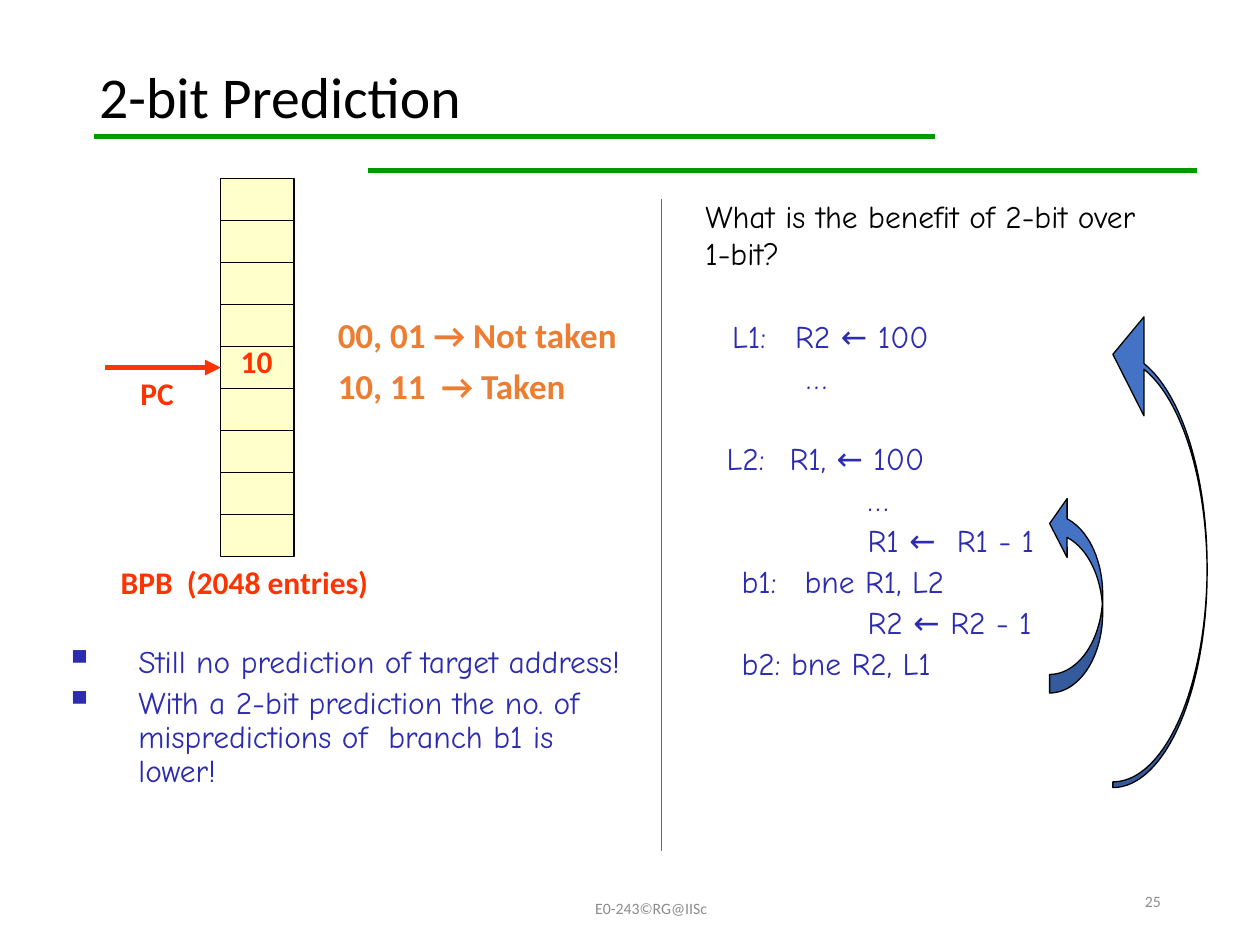
from lxml import etree
from pptx import Presentation
from pptx.dml.color import RGBColor
from pptx.enum.shapes import MSO_CONNECTOR, MSO_SHAPE
from pptx.enum.text import MSO_ANCHOR, PP_ALIGN
from pptx.oxml.ns import qn
from pptx.util import Cm, Pt

STRAIGHT = MSO_CONNECTOR.STRAIGHT
RECTANGLE = MSO_SHAPE.RECTANGLE
CURVED_ARROW = MSO_SHAPE.CURVED_UP_ARROW
LEFT, CENTER, RIGHT = PP_ALIGN.LEFT, PP_ALIGN.CENTER, PP_ALIGN.RIGHT
TOP, MIDDLE = MSO_ANCHOR.TOP, MSO_ANCHOR.MIDDLE

BLACK, GRAY, GREEN, RED = "000000", "8C8C8C", "009900", "FF3300"
INDIGO, ORANGE, YELLOW, BLUE = "2C2CB0", "ED7D31", "FFFFCC", "4472C4"
SANS, HAND = "Calibri", "Comic Neue"

presentation = Presentation()
presentation.slide_width, presentation.slide_height = Cm(25.4), Cm(19.05)
slide = presentation.slides.add_slide(presentation.slide_layouts[6])


def add_text(text, left, top, width, height, size=18, font=SANS, color=RED,
             bold=False, align=LEFT, anchor=TOP, spacing=1.0, before=0):
    """Add a wrapped text box, one paragraph per line, and return its paragraphs."""
    box = slide.shapes.add_textbox(Cm(left), Cm(top), Cm(width), Cm(height))
    frame = box.text_frame
    frame.word_wrap = True
    frame.vertical_anchor = anchor
    frame.text = text
    for index, paragraph in enumerate(frame.paragraphs):
        paragraph.alignment = align
        paragraph.line_spacing = spacing
        paragraph.space_before = Pt(before if index else 0)
        for run in paragraph.runs:
            run.font.name, run.font.size, run.font.bold = font, Pt(size), bold
            run.font.color.rgb = RGBColor.from_string(color)
    return frame.paragraphs


def add_line(x1, y1, x2, y2, color=BLACK, width=0.75):
    line = slide.shapes.add_connector(STRAIGHT, Cm(x1), Cm(y1), Cm(x2), Cm(y2))
    line.line.color.rgb = RGBColor.from_string(color)
    line.line.width = Pt(width)
    etree.SubElement(line._element.spPr, qn("a:effectLst"))
    return line


# Title, footer and green rules
for x1, x2, y in [(1.9, 18.63, 2.75), (7.41, 24.13, 3.43), (2.12, 18.84, 2.75)]:
    add_line(x1, y, x2, y, GREEN, 3)
add_text("2-bit Prediction", 1.75, 1.02, 21.9, 1.98, size=33, color=BLACK,
         anchor=MIDDLE, spacing=0.9)
add_text("E0-243©RG@IISc", 9.1, 17.98, 8.05, 0.64, size=9, color=GRAY,
         align=CENTER, anchor=MIDDLE)
add_text("25", 17.93, 17.65, 5.72, 1.02, size=9, color=GRAY,
         align=RIGHT, anchor=MIDDLE)

# Remarks with square bullets
remarks = add_text(
    "Still no prediction of target address!\n"
    "With a 2-bit prediction the no. of mispredictions of  branch b1 is lower!",
    1.06, 12.9, 12.07, 5.28, font=HAND, color=INDIGO, spacing=0.9, before=4)
for paragraph in remarks:
    properties = paragraph._p.get_or_add_pPr()
    properties.set("marL", str(Cm(1.48)))
    properties.set("indent", str(Cm(-1.48)))
    etree.SubElement(properties, qn("a:buSzPct"), val="125000")
    etree.SubElement(properties, qn("a:buChar"), char="▪")

# Loop code: each line with its indent; a tab separates label and instruction
LABEL_TAB = 2.24
code = [
    ("L1:\tR2 ← 100", 0.95),
    ("…", 2.44),
    ("L2:\tR1, ← 100", 0.84),
    ("…", 3.68),
    ("R1 ←  R1 - 1", 3.68),
    ("b1:\tbne R1, L2", 1.14),
    ("R2 ← R2 - 1", 3.68),
    ("b2: bne R2, L1", 1.14),
]
code_lines = add_text("\n".join(text for text, indent in code),
                      13.56, 6.35, 11.43, 11.86, font=HAND, color=INDIGO,
                      spacing=0.9, before=4)
for paragraph, (text, indent) in zip(code_lines, code):
    properties = paragraph._p.get_or_add_pPr()
    properties.set("marL", str(Cm(indent)))
    properties.set("indent", "0")
    tabs = etree.SubElement(properties, qn("a:tabLst"))
    etree.SubElement(tabs, qn("a:tab"), pos=str(Cm(LABEL_TAB)), algn="l")
code_lines[2].space_before = Pt(27)

add_line(13.34, 4.01, 13.34, 17.15, RED)

# Loop-back arrows: inner loop to L2, outer loop to L1
loop_arrows = [
    (19.69, 11.43, 4.01, 1.07, (0.35, 1.11, 0.33)),
    (18.52, 10.06, 9.73, 1.9, (0.06, 1.05, 0.33)),
]
for left, top, width, height, adjustments in loop_arrows:
    arrow = slide.shapes.add_shape(CURVED_ARROW, Cm(left), Cm(top), Cm(width), Cm(height))
    arrow.rotation = 270
    arrow.shadow.inherit = False
    for index, value in enumerate(adjustments):
        arrow.adjustments[index] = value
    arrow.fill.solid()
    arrow.fill.fore_color.rgb = RGBColor.from_string(BLUE)
    arrow.line.color.rgb = RGBColor.from_string(BLACK)
    arrow.line.width = Pt(0.75)

# Branch prediction buffer
BUFFER_LEFT, BUFFER_TOP, BUFFER_WIDTH, BUFFER_HEIGHT = 4.45, 3.6, 1.48, 7.62
ENTRIES = 9
buffer = slide.shapes.add_shape(RECTANGLE, Cm(BUFFER_LEFT), Cm(BUFFER_TOP),
                                Cm(BUFFER_WIDTH), Cm(BUFFER_HEIGHT))
buffer.shadow.inherit = False
buffer.fill.solid()
buffer.fill.fore_color.rgb = RGBColor.from_string(YELLOW)
buffer.line.color.rgb = RGBColor.from_string(BLACK)
buffer.line.width = Pt(0.75)
for entry in range(1, ENTRIES):
    y = BUFFER_TOP + entry * BUFFER_HEIGHT / ENTRIES
    add_line(BUFFER_LEFT, y, BUFFER_LEFT + BUFFER_WIDTH, y)

middle = BUFFER_TOP + BUFFER_HEIGHT / 2
pointer = add_line(2.12, middle, BUFFER_LEFT, middle, RED, 3)
etree.SubElement(pointer.line._get_or_add_ln(), qn("a:tailEnd"), type="triangle")

for text, left, top, width in [
    ("PC", 1.9, 7.41, 2.54),
    ("BPB  (2048 entries)", 1.12, 11.22, 7.62),
    ("10", 4.33, 6.77, 1.69),
]:
    add_text(text, left, top, width, 1.27, bold=True, align=CENTER)

add_text("00, 01 → Not taken\n10, 11  → Taken", 6.56, 6.35, 6.56, 2.03, size=20,
         color=ORANGE, bold=True, spacing=0.8, before=10)
add_text("What is the benefit of 2-bit over 1-bit?", 13.97, 3.84, 9.73, 2.31,
         font=HAND, color=BLACK)

presentation.save("out.pptx")
